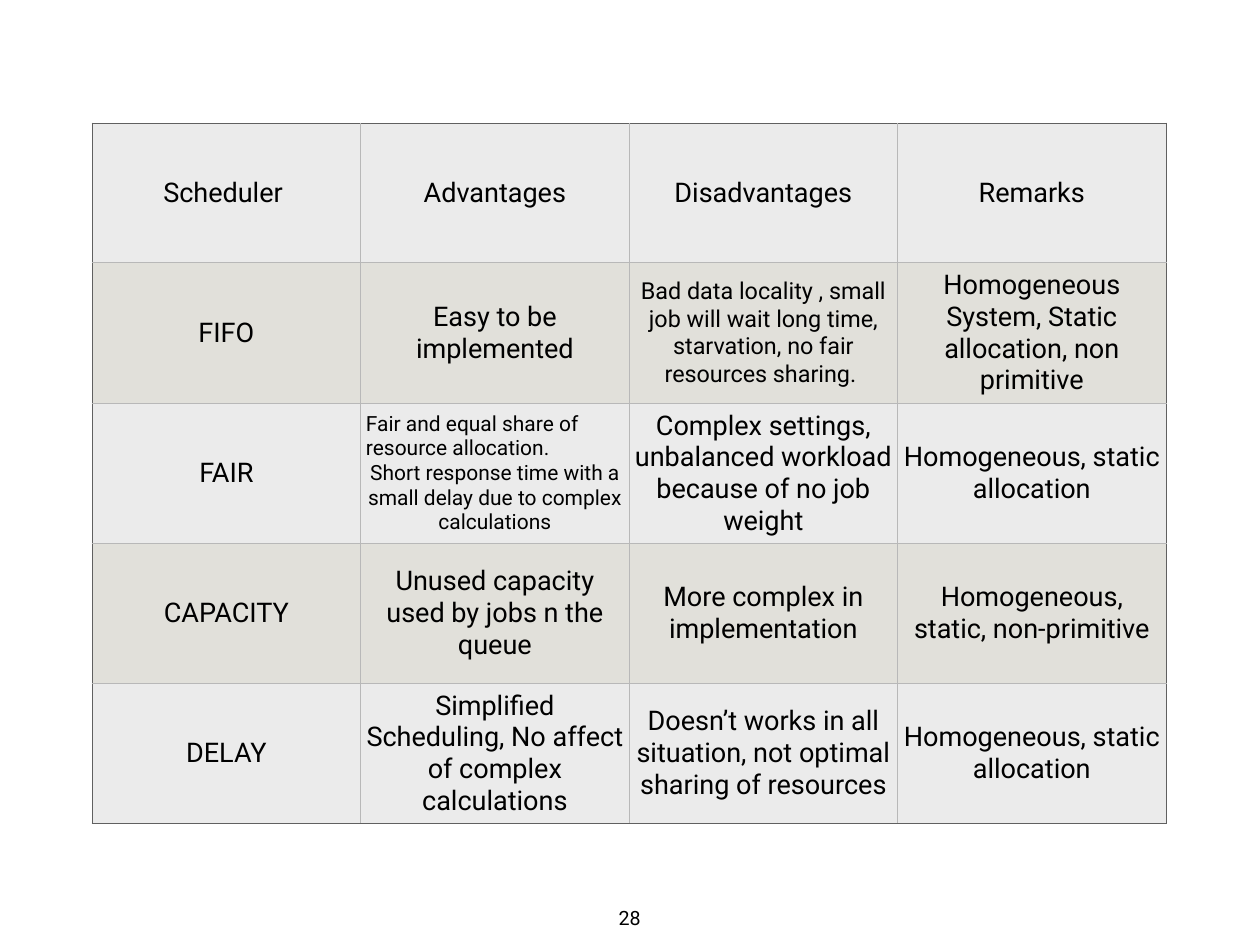
from dataclasses import dataclass

from lxml import etree
from pptx import Presentation
from pptx.dml.color import RGBColor
from pptx.enum.text import MSO_ANCHOR, MSO_AUTO_SIZE, PP_ALIGN
from pptx.oxml.ns import qn
from pptx.slide import Slide
from pptx.table import _Cell
from pptx.text.text import TextFrame
from pptx.util import Inches, Pt

CENTER = PP_ALIGN.CENTER
LEFT = PP_ALIGN.LEFT
MIDDLE = MSO_ANCHOR.MIDDLE
GROW = MSO_AUTO_SIZE.SHAPE_TO_FIT_TEXT

FONT = "Roboto"
MARGIN = Inches(0.06)
COLORS = {
    "text": "000000",
    "light_row": "EBEBEB",
    "dark_row": "E1E0DA",
    "inner_line": "B8B8B8",
    "outer_line": "606060",
}


@dataclass(frozen=True)
class Entry:
    text: str
    size: int = 22
    first_align: PP_ALIGN = CENTER


SCHEDULERS: list[list[Entry]] = [
    [Entry("Scheduler "), Entry("Advantages"), Entry("Disadvantages"), Entry("Remarks")],
    [
        Entry("FIFO"),
        Entry("Easy to be implemented"),
        Entry("Bad data locality , small job will wait long time, starvation, "
              "no fair resources sharing. ", size=19),
        Entry("Homogeneous System, Static allocation, non primitive"),
    ],
    [
        Entry("FAIR"),
        Entry("Fair and equal share of resource allocation.\n"
              "Short response time with a small delay due to complex calculations",
              size=17, first_align=LEFT),
        Entry("Complex settings, unbalanced workload because of no job weight"),
        Entry("Homogeneous, static allocation"),
    ],
    [
        Entry("CAPACITY"),
        Entry("Unused capacity used by jobs n the queue"),
        Entry("More complex in implementation"),
        Entry("Homogeneous, static, non-primitive"),
    ],
    [
        Entry("DELAY"),
        Entry("Simplified Scheduling, No affect of complex calculations"),
        Entry("Doesn’t works in all situation, not optimal sharing of resources"),
        Entry("Homogeneous, static allocation"),
    ],
]


def write_entry(frame: TextFrame, entry: Entry) -> None:
    frame.text = entry.text
    for paragraph in frame.paragraphs:
        paragraph.alignment = CENTER
        for run in paragraph.runs:
            run.font.name = FONT
            run.font.size = Pt(entry.size)
            run.font.color.rgb = RGBColor.from_string(COLORS["text"])
    frame.paragraphs[0].alignment = entry.first_align


def draw_borders(cell: _Cell, outer_sides: dict[str, bool]) -> None:
    properties = cell._tc.get_or_add_tcPr()
    for side, is_outer in outer_sides.items():
        line = etree.SubElement(properties, qn(f"a:ln{side}"), w=str(Pt(1)))
        fill = etree.SubElement(line, qn("a:solidFill"))
        color = COLORS["outer_line" if is_outer else "inner_line"]
        etree.SubElement(fill, qn("a:srgbClr"), val=color)


def add_scheduler_table(slide: Slide, rows: list[list[Entry]]) -> None:
    last_row, last_column = len(rows) - 1, len(rows[0]) - 1
    table = slide.shapes.add_table(
        len(rows), len(rows[0]),
        Inches(1.04), Inches(1.39), Inches(12.12), Inches(7.88),
    ).table
    table.first_row = False
    table.horz_banding = False
    for r, entries in enumerate(rows):
        row_color = COLORS["dark_row" if r % 2 else "light_row"]
        for c, entry in enumerate(entries):
            cell = table.cell(r, c)
            cell.vertical_anchor = MIDDLE
            cell.margin_left = cell.margin_right = MARGIN
            cell.margin_top = cell.margin_bottom = MARGIN
            # Lines precede the fill in the cell properties
            draw_borders(cell, {"L": c == 0, "R": c == last_column,
                                "T": r == 0, "B": r == last_row})
            cell.fill.solid()
            cell.fill.fore_color.rgb = RGBColor.from_string(row_color)
            write_entry(cell.text_frame, entry)


def add_page_number(slide: Slide, number: Entry) -> None:
    frame = slide.shapes.add_textbox(
        Inches(6.92), Inches(10.17), Inches(0.37), Inches(0.35)
    ).text_frame
    frame.margin_left = frame.margin_right = MARGIN
    frame.margin_top = frame.margin_bottom = MARGIN
    frame.word_wrap = False
    frame.auto_size = GROW
    write_entry(frame, number)


def main() -> None:
    presentation = Presentation()
    presentation.slide_width = Inches(14.22)
    presentation.slide_height = Inches(10.67)
    slide = presentation.slides.add_slide(presentation.slide_layouts[6])

    # Page number
    add_page_number(slide, Entry("28", size=16))

    # Scheduler comparison
    add_scheduler_table(slide, SCHEDULERS)

    presentation.save("out.pptx")


if __name__ == "__main__":
    main()
